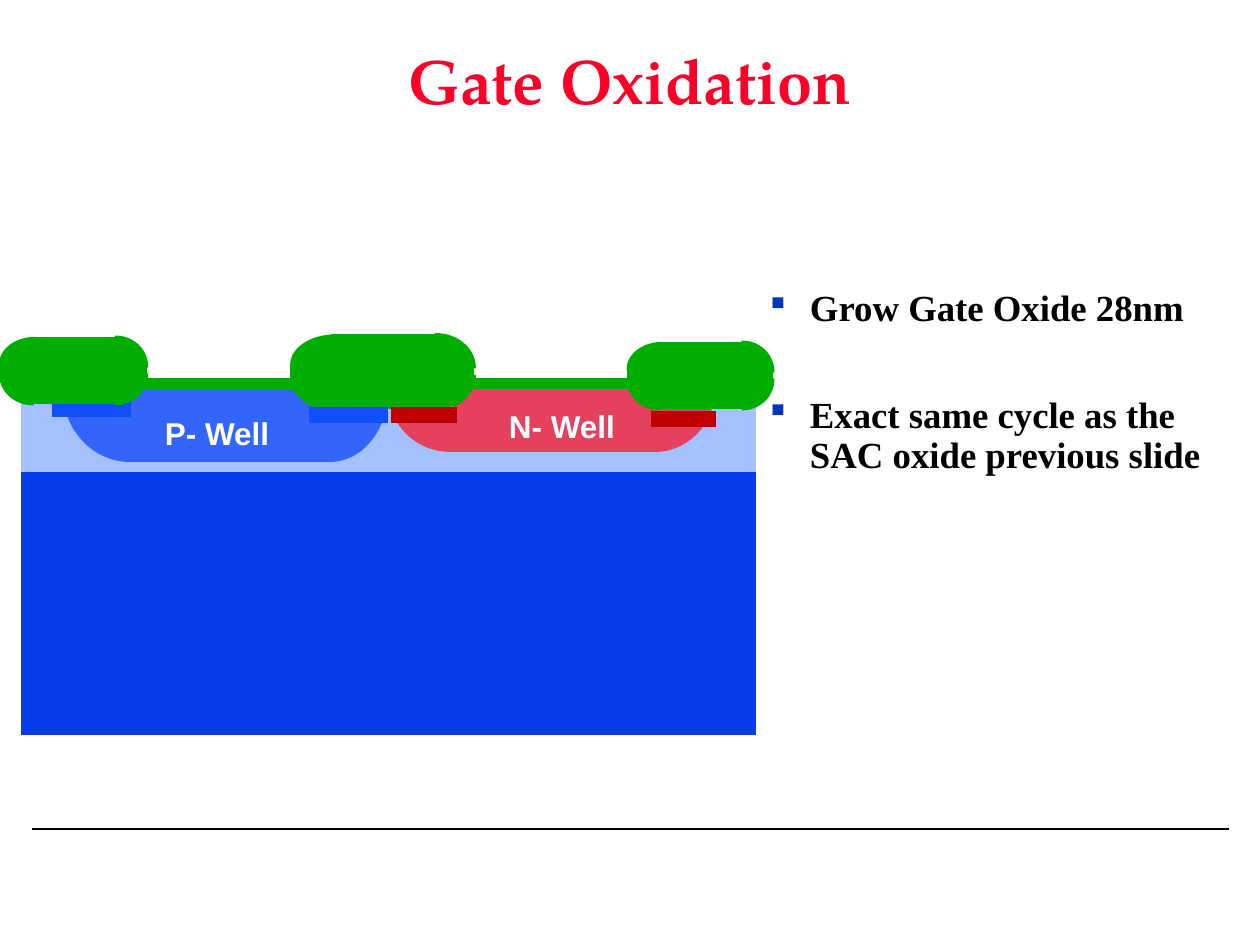
from dataclasses import dataclass

from lxml.etree import SubElement as Sub
from pptx import Presentation
from pptx.dml.color import RGBColor as Rgb
from pptx.enum.shapes import MSO_CONNECTOR as Link, MSO_SHAPE as Shape
from pptx.enum.text import MSO_ANCHOR as Anchor, PP_ALIGN as Align
from pptx.oxml.ns import qn
from pptx.util import Inches, Pt


@dataclass(frozen=True)
class Theme:
    """Colours, fonts and sizes of the slide."""
    title: str = "FC0128"
    ink: str = "000000"
    white: str = "FFFFFF"
    mark: str = "0237BC"
    base: str = "063DE8"
    epi: str = "A2C1FE"
    pwell: str = "3365FB"
    nwell: str = "E5405D"
    oxide: str = "00AE00"
    pstop: str = "114FFB"
    nstop: str = "C20000"
    nedge: str = "BA0000"
    head: str = "TeX Gyre Pagella"
    body: str = "Times New Roman"
    tag: str = "Arial"
    sign: str = "Wingdings"
    big: float = 36
    mid: float = 21
    small: float = 18
    rule: float = 0.99


T = Theme()


def paint(shape, fill, edge=None):
    """Give a shape a flat fill and a thin line with sharp joins."""
    shape.shadow.inherit = False
    shape.fill.solid()
    shape.fill.fore_color.rgb = Rgb.from_string(fill)
    shape.line.color.rgb = Rgb.from_string(edge or fill)
    shape.line.width = Pt(T.rule)
    Sub(shape.line._get_or_add_ln(), qn("a:miter"), lim="800000")


def rect(slide, x, y, w, h, fill, edge=None):
    """Draw a plain rectangle."""
    box = map(Inches, (x, y, w, h))
    paint(slide.shapes.add_shape(Shape.RECTANGLE, *box), fill, edge)


def corner(slide, cx, cy, rx, ry, fill):
    """Draw a quarter ellipse; the signs of rx and ry pick the quadrant."""
    a, b = abs(rx), abs(ry)
    box = map(Inches, (cx - a, cy - b, 2 * a, 2 * b))
    pie = slide.shapes.add_shape(Shape.PIE, *box)
    turn = {(True, True): 0, (False, True): 90,
            (False, False): 180, (True, False): 270}[rx > 0, ry > 0]
    pie.adjustments[0] = turn * 0.6
    pie.adjustments[1] = (turn + 90) % 360 * 0.6
    paint(pie, fill)


def write(slide, box, lines, *, font, size, color, align=Align.LEFT,
          anchor=Anchor.TOP, wrap=True, lead=None, before=(), bullet=None):
    """Write bold paragraphs in a text box."""
    frame = slide.shapes.add_textbox(*map(Inches, box)).text_frame
    frame.word_wrap = wrap
    frame.vertical_anchor = anchor
    for i, line in enumerate(lines):
        par = frame.paragraphs[0] if i == 0 else frame.add_paragraph()
        par.alignment = align
        if lead:
            par.line_spacing = lead
        if before:
            par.space_before = Pt(before[i])
        if bullet:
            mark(par, bullet)
        run = par.add_run()
        run.text = line
        run.font.name, run.font.size, run.font.bold = font, Pt(size), True
        run.font.color.rgb = Rgb.from_string(color)


def mark(par, sign):
    """Add a coloured bullet with a hanging indent."""
    props = par._p.get_or_add_pPr()
    props.set("marL", str(Inches(0.32)))
    props.set("indent", str(Inches(-0.32)))
    tint = Sub(props, qn("a:buClr"))
    Sub(tint, qn("a:srgbClr"), val=T.mark)
    Sub(props, qn("a:buFont"), typeface=T.sign, charset="2")
    Sub(props, qn("a:buChar"), char=sign)


def well(slide, x, y, w, h, left, right, fill):
    """Draw a well with rounded lower corners."""
    corner(slide, x + left, y, -left, h, fill)
    corner(slide, x + w - right, y, right, h, fill)
    rect(slide, x + left, y, w - left - right, h, fill)


def field(slide, x, y, w, h):
    """Draw a rounded field oxide filling its box."""
    u, v = w / 1.17, h / 0.54
    for cx, cy, rx, ry in ((0.26, 0.3, -0.26, 0.24), (0.92, 0.3, 0.25, 0.24),
                           (0.92, 0.24, 0.25, -0.24), (0.28, 0.22, -0.28, -0.21)):
        corner(slide, x + cx * u, y + cy * v, rx * u, ry * v, T.oxide)
    rect(slide, x, y + 0.22 * v, 1.16 * u, 0.08 * v, T.oxide)
    rect(slide, x + 0.26 * u, y + 0.01 * v, 0.65 * u, 0.52 * v, T.oxide)


def wafer(slide, x, y):
    """Draw the cross-section; x, y is the upper left of the silicon."""
    rect(slide, x, y, 5.82, 2.74, T.base)
    rect(slide, x, y, 5.82, 0.65, T.epi)
    well(slide, x + 2.91, y - 0.01, 2.59, 0.5, 0.49, 0.47, T.nwell)
    well(slide, x + 0.33, y - 0.01, 2.58, 0.58, 0.53, 0.46, T.pwell)
    for dx, dy, name in ((1.04, 0.15, "P- Well"), (3.77, 0.09, "N- Well")):
        write(slide, (x + dx, y + dy, 1.05, 0.4), [name], font=T.tag,
              size=T.small, color=T.white, wrap=False)
    for dx, w, h in ((0.91, 1.33, 0.08), (3.59, 1.24, 0.07)):
        rect(slide, x + dx, y - 0.08, w, h, T.oxide)
    for dx, dy, w, h in ((2.14, -0.44, 1.46, 0.6), (4.81, -0.38, 1.16, 0.54)):
        field(slide, x + dx, y + dy, w, h)
    for dx, dy, w, fill, edge in ((2.29, 0.15, 0.61, T.pstop, T.pstop),
                                  (0.25, 0.1, 0.61, T.pstop, T.pstop),
                                  (2.94, 0.15, 0.51, T.nstop, T.nedge),
                                  (5, 0.18, 0.51, T.nstop, T.nedge)):
        rect(slide, x + dx, y + dy, w, 0.11, fill, edge)
    field(slide, x - 0.17, y - 0.42, 1.17, 0.54)


def rule(slide, x, y, w):
    """Draw the footer line."""
    line = slide.shapes.add_connector(
        Link.STRAIGHT, *map(Inches, (x, y, x + w, y)))
    line.line.color.rgb = Rgb.from_string(T.ink)
    line.line.width = Pt(T.rule)
    Sub(line._element.spPr, qn("a:effectLst"))


def main():
    """Build and save the slide."""
    deck = Presentation()
    deck.slide_width, deck.slide_height = Inches(10), Inches(7.5)
    slide = deck.slides.add_slide(deck.slide_layouts[6])
    rule(slide, 0.25, 6.58, 9.5)
    write(slide, (1.08, 0.04, 7.83, 1.25), ["Gate Oxidation"], font=T.head,
          size=T.big, color=T.title, align=Align.CENTER,
          anchor=Anchor.MIDDLE, lead=0.9)
    write(slide, (6.01, 2.25, 3.99, 2.08),
          ["Grow Gate Oxide 28nm",
           "Exact same cycle as the SAC oxide previous slide"],
          font=T.body, size=T.mid, color=T.ink, lead=0.9,
          before=(7.9, 38.5), bullet="§")
    wafer(slide, 0.17, 3.09)
    deck.save("out.pptx")


main()
